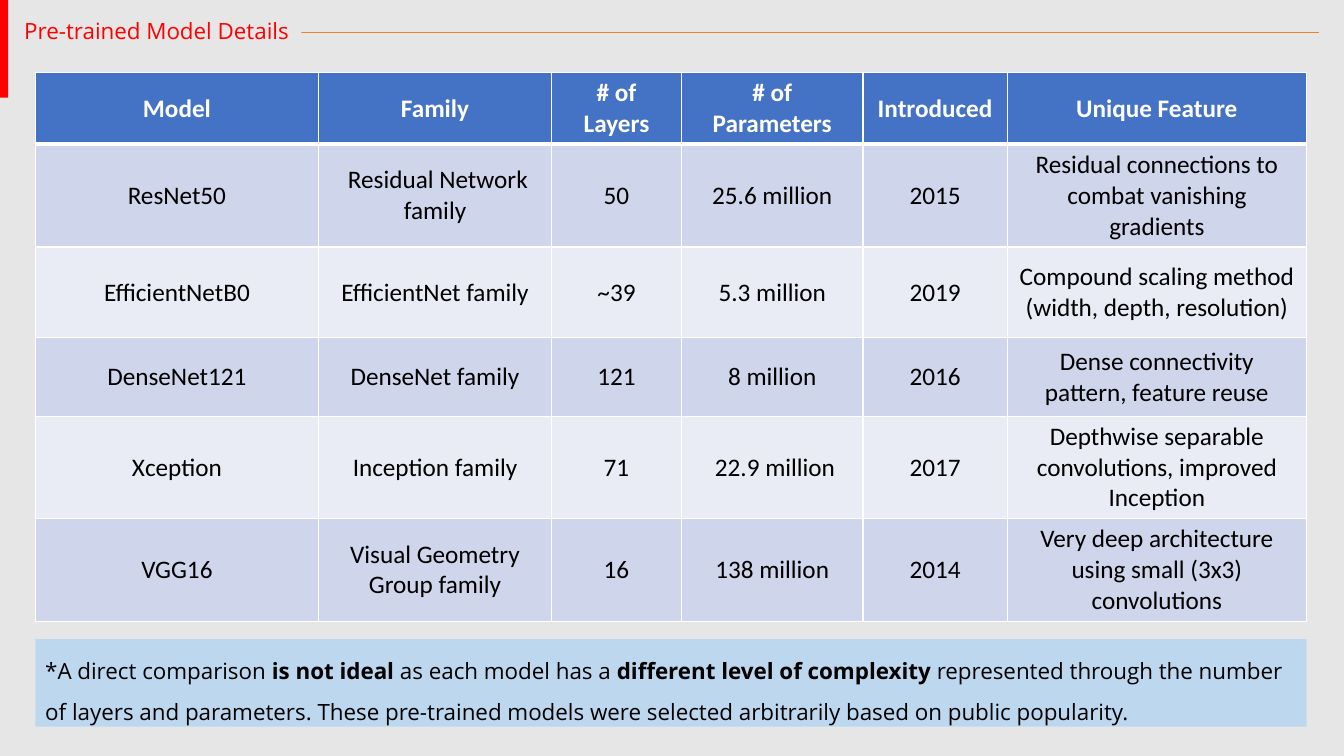
from lxml import etree
from pptx import Presentation, util as u
from pptx.dml.color import RGBColor
from pptx.enum import shapes, text
from pptx.oxml.ns import qn

TITLE = "Pre-trained Model Details"
ROWS = [
    ("Model", "Family", "# of Layers", "# of Parameters", "Introduced", "Unique Feature"),
    ("ResNet50", " Residual Network family", "50", "25.6 million", "2015",
     "Residual connections to combat vanishing gradients"),
    ("EfficientNetB0", "EfficientNet family", "~39", "5.3 million", "2019",
     "Compound scaling method (width, depth, resolution)"),
    ("DenseNet121", "DenseNet family", "121", "8 million", "2016",
     "Dense connectivity pattern, feature reuse"),
    ("Xception", "Inception family", "71", " 22.9 million", "2017",
     "Depthwise separable convolutions, improved Inception"),
    ("VGG16", "Visual Geometry Group family", "16", "138 million", "2014",
     "Very deep architecture using small (3x3) convolutions"),
]
NOTE = [
    ("*A direct comparison ", False),
    ("is not ideal ", True),
    ("as each model has a ", False),
    ("different level of complexity ", True),
    ("represented through the number of layers and parameters. These pre-trained "
     "models were selected arbitrarily based on public popularity.", False),
]
WIDTHS = [2.81, 2.31, 1.29, 1.8, 1.43, 2.97]
HEIGHTS = [0.63, 1.02, 0.9, 0.78, 0.9, 0.9]
LEFT, TOP, WIDE = 0.35, 0.72, sum(WIDTHS)
GREY, RED = "E7E6E6", "FF0000"
HEAD, BANDS = "4472C4", ("E9EBF5", "CFD5EA")


def paint(fill, hue):
    fill.solid()
    fill.fore_color.rgb = RGBColor.from_string(hue)


def style(font, hue, **vals):
    for key, val in vals.items():
        setattr(font, key, val)
    font.color.rgb = RGBColor.from_string(hue)


def place(shape, *box):
    for key, val in zip(("left", "top", "width", "height"), box):
        setattr(shape, key, u.Inches(val))


def edge(cell, side, size):
    line = etree.SubElement(cell._tc.get_or_add_tcPr(), qn("a:ln" + side), w=str(u.Pt(size)))
    fill = etree.SubElement(line, qn("a:solidFill"))
    etree.SubElement(fill, qn("a:srgbClr"), val="FFFFFF")


def add_head(slide):
    line = slide.shapes.add_connector(
        shapes.MSO_CONNECTOR.STRAIGHT, *map(u.Inches, (0.78, 0.32, 13.08, 0.32)))
    line.line.width = u.Pt(1)
    line.line.color.rgb = RGBColor.from_string("ED7D31")
    etree.SubElement(line._element.spPr, qn("a:effectLst"))

    bar = slide.shapes.add_shape(
        shapes.MSO_SHAPE.RECTANGLE, *map(u.Inches, (0, 0, 0.08, 0.97)))
    bar.shadow.inherit = False
    paint(bar.fill, RED)
    bar.line.fill.background()

    title = slide.shapes.title
    slide.shapes._spTree.append(title._element)
    place(title, 0.14, 0.15, 2.85, 0.34)
    paint(title.fill, GREY)
    frame = title.text_frame
    frame.text = TITLE
    frame.word_wrap = False
    frame.auto_size = text.MSO_AUTO_SIZE.NONE
    frame.vertical_anchor = text.MSO_ANCHOR.MIDDLE
    para = frame.paragraphs[0]
    para.alignment = text.PP_ALIGN.LEFT
    para.line_spacing = 0.9
    style(para.runs[0].font, RED, size=u.Pt(16), name="Open Sans")


def add_grid(slide):
    box = map(u.Inches, (LEFT, TOP, WIDE, sum(HEIGHTS)))
    grid = slide.shapes.add_table(len(ROWS), len(WIDTHS), *box).table
    for col, wide in zip(grid.columns, WIDTHS):
        col.width = u.Inches(wide)
    for row, high in zip(grid.rows, HEIGHTS):
        row.height = u.Inches(high)
    for r, row in enumerate(ROWS):
        for c, word in enumerate(row):
            cell = grid.cell(r, c)
            for side in "LRTB":
                thick = (r, side) in ((0, "B"), (1, "T"))
                edge(cell, side, 3 if thick else 1)
            paint(cell.fill, BANDS[r % 2] if r else HEAD)
            cell.vertical_anchor = text.MSO_ANCHOR.MIDDLE
            cell.text = word
            para = cell.text_frame.paragraphs[0]
            para.alignment = text.PP_ALIGN.CENTER
            style(para.runs[0].font, "000000" if r else "FFFFFF",
                  size=u.Pt(18), name="Calibri", bold=r == 0)


def add_note(slide):
    note = slide.shapes.add_textbox(*map(u.Inches, (LEFT, 6.34, WIDE, 0.87)))
    paint(note.fill, "BDD7EE")
    frame = note.text_frame
    frame.word_wrap = True
    frame.auto_size = text.MSO_AUTO_SIZE.SHAPE_TO_FIT_TEXT
    para = frame.paragraphs[0]
    para.line_spacing = 1.5
    for word, bold in NOTE:
        run = para.add_run()
        run.text = word
        style(run.font, "000000", size=u.Pt(16), name="Open Sans", bold=bold)


def main():
    deck = Presentation()
    deck.slide_width, deck.slide_height = u.Inches(13.33), u.Inches(7.5)
    slide = deck.slides.add_slide(deck.slide_layouts[5])
    paint(slide.background.fill, GREY)
    add_head(slide)
    add_grid(slide)
    add_note(slide)
    deck.save("out.pptx")


if __name__ == "__main__":
    main()
